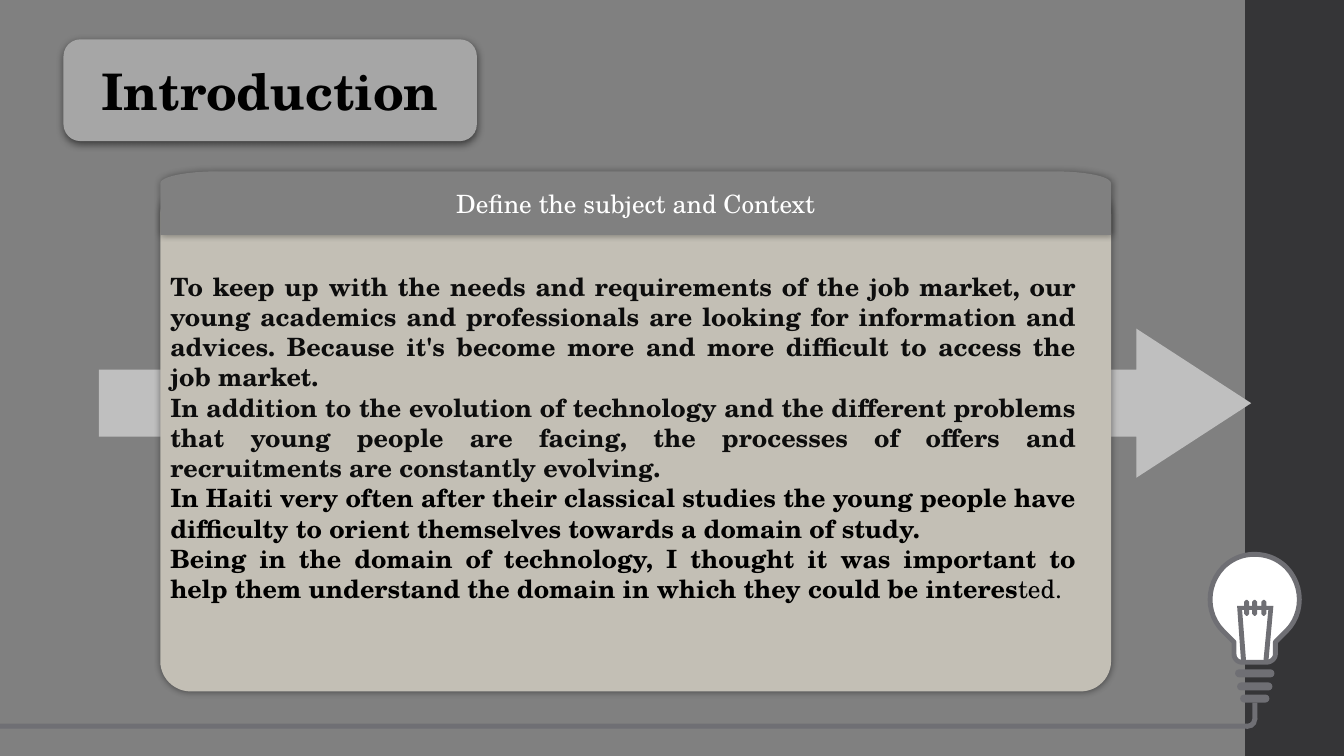
from lxml import etree
from pptx import Presentation
from pptx.dml.color import RGBColor
from pptx.enum.shapes import MSO_SHAPE
from pptx.enum.text import MSO_ANCHOR, PP_ALIGN
from pptx.oxml.ns import qn
from pptx.util import Inches, Pt

FONT = "TeX Gyre Schola"
GREY, LAMP_GREY, WHITE, BLACK, INK = "808080", "6F6F74", "FFFFFF", "000000", "0D0D0D"

# Each paragraph: colour, bold text, plain ending
INTRODUCTION = [
    (INK, "To keep up with the needs and requirements of the job market, our young "
          "academics and professionals are looking for information and advices. Because "
          "it's become more and more difficult to access the job market.", ""),
    (INK, "In addition to the evolution of technology and the different problems that "
          "young people are facing, the processes of offers and recruitments are "
          "constantly evolving.", ""),
    (BLACK, "In Haiti very often after their classical studies the young people have "
            "difficulty to orient themselves towards a domain of study.", ""),
    (BLACK, "Being in the domain of technology, I thought it was important to help them "
            "understand the domain in which they could be interes", "ted."),
]


def rgb(value):
    return RGBColor.from_string(value)


def paint(shape, fill, line=None, width=0):
    shape.shadow.inherit = False
    shape.fill.solid()
    shape.fill.fore_color.rgb = rgb(fill)
    if line:
        shape.line.color.rgb = rgb(line)
        shape.line.width = Pt(width)
    else:
        shape.line.fill.background()
    return shape


def add_preset(slide, kind, left, top, width, height, fill, adjust=()):
    shape = slide.shapes.add_shape(
        kind, Inches(left), Inches(top), Inches(width), Inches(height))
    for index, value in enumerate(adjust):
        shape.adjustments[index] = value
    return paint(shape, fill)


def trace(start, segments, steps=12):
    """Turn lines (x, y) and cubic curves (six numbers) into a list of points."""
    points = [start]
    for segment in segments:
        if len(segment) == 2:
            points.append(segment)
            continue
        x0, y0 = points[-1]
        x1, y1, x2, y2, x3, y3 = segment
        for step in range(1, steps + 1):
            t = step / steps
            a, b, c, d = (1 - t) ** 3, 3 * t * (1 - t) ** 2, 3 * t * t * (1 - t), t ** 3
            points.append((a * x0 + b * x1 + c * x2 + d * x3,
                           a * y0 + b * y1 + c * y2 + d * y3))
    return points


def add_outline(slide, points, fill, line=None, width=0):
    corners = [(Inches(x), Inches(y)) for x, y in points]
    builder = slide.shapes.build_freeform(*corners[0])
    builder.add_line_segments(corners[1:], close=True)
    return paint(builder.convert_to_shape(), fill, line, width)


def add_shadow(shape, opacity, blur, distance=0, direction=0):
    effects = shape._element.spPr.find(qn("a:effectLst"))
    shadow = etree.SubElement(
        effects, qn("a:outerShdw"), blurRad=str(Pt(blur)), dist=str(Pt(distance)),
        dir=str(direction * 60000), algn="ctr", rotWithShape="0")
    color = etree.SubElement(shadow, qn("a:srgbClr"), val=BLACK)
    etree.SubElement(color, qn("a:alpha"), val=str(opacity * 1000))


def write(paragraph, text, size=18, color=BLACK, bold=False, align=PP_ALIGN.CENTER):
    paragraph.alignment = align
    run = paragraph.add_run()
    run.text = text
    run.font.name = FONT
    run.font.size = Pt(size)
    run.font.bold = bold
    run.font.color.rgb = rgb(color)


def label(shape, text, **style):
    frame = shape.text_frame
    frame.word_wrap = True
    frame.vertical_anchor = MSO_ANCHOR.MIDDLE
    write(frame.paragraphs[0], text, **style)


def add_lamp(slide):
    # Glass bulb
    glass = trace((12.44, 5.5), [
        (12.56, 5.5, 12.67, 5.54, 12.76, 5.63), (12.93, 5.81, 12.93, 6.09, 12.76, 6.26),
        (12.65, 6.37), (12.65, 6.49), (12.65, 6.53, 12.61, 6.57, 12.56, 6.57),
        (12.32, 6.57), (12.27, 6.57, 12.24, 6.53, 12.24, 6.49), (12.24, 6.37),
        (12.13, 6.26), (11.96, 6.09, 11.96, 5.81, 12.13, 5.63),
        (12.22, 5.54, 12.33, 5.5, 12.44, 5.5)])
    add_outline(slide, glass, WHITE, LAMP_GREY, 3.5)

    # Screw rings
    for left, top, width in [(12.25, 6.64, 0.39), (12.27, 6.77, 0.35), (12.3, 6.89, 0.29)]:
        add_preset(slide, MSO_SHAPE.ROUNDED_RECTANGLE, left, top, width, 0.08,
                   LAMP_GREY, [0.5])

    # Filament with three prongs
    upper, lower = [], []
    for x in (12.34, 12.42, 12.51):
        upper += [(x, 6.01), (x, 5.97), (x + 0.02, 5.95), (x + 0.03, 5.95),
                  (x + 0.05, 5.97), (x + 0.05, 6.01)]
        lower += [(x, 6.05), (x, 6.09), (x + 0.02, 6.11), (x + 0.03, 6.11),
                  (x + 0.05, 6.09), (x + 0.05, 6.05)]
    filament = ([(12.31, 6.57), (12.27, 6.01)] + upper
                + [(12.63, 6.01), (12.58, 6.57), (12.53, 6.57), (12.58, 6.05)]
                + lower[::-1] + [(12.32, 6.05), (12.36, 6.57)])
    add_outline(slide, filament, LAMP_GREY)

    # Cable
    add_preset(slide, MSO_SHAPE.RECTANGLE, 0, 7.18, 12.37, 0.05, LAMP_GREY)
    add_preset(slide, MSO_SHAPE.RECTANGLE, 12.42, 6.97, 0.05, 0.17, LAMP_GREY)
    add_preset(slide, MSO_SHAPE.BLOCK_ARC, 12.28, 7.04, 0.19, 0.19, LAMP_GREY,
               [213.39, 60.92, 0.27])


def add_card(slide):
    card = add_preset(slide, MSO_SHAPE.ROUNDED_RECTANGLE, 1.59, 1.83, 9.43, 5.03,
                      "C3BFB5", [0.06])
    add_shadow(card, 40, 5)

    # Header with rounded top
    header = add_outline(slide, trace((2.17, 1.7), [
        (10.45, 1.7), (10.77, 1.7, 11.02, 1.75, 11.02, 1.82), (11.02, 2.33),
        (1.59, 2.33), (1.59, 1.82), (1.59, 1.75, 1.85, 1.7, 2.17, 1.7)]), GREY)
    add_shadow(header, 40, 5)
    label(header, "Define the subject and Context", color=WHITE)

    # Body text
    body = slide.shapes.add_textbox(
        Inches(1.59), Inches(2.64), Inches(9.18), Inches(3.74)).text_frame
    body.word_wrap = True
    for index, (color, text, ending) in enumerate(INTRODUCTION):
        paragraph = body.add_paragraph() if index else body.paragraphs[0]
        write(paragraph, text, color=color, bold=True, align=PP_ALIGN.JUSTIFY)
        if ending:
            write(paragraph, ending, color=color, align=PP_ALIGN.JUSTIFY)


def main():
    presentation = Presentation()
    presentation.slide_width = Inches(13.33)
    presentation.slide_height = Inches(7.5)
    slide = presentation.slides.add_slide(presentation.slide_layouts[6])
    slide.background.fill.solid()
    slide.background.fill.fore_color.rgb = rgb(GREY)

    # Side band and lamp
    add_preset(slide, MSO_SHAPE.RECTANGLE, 12.35, 0, 0.98, 7.5, "353537")
    add_lamp(slide)

    # Arrow behind the card
    add_preset(slide, MSO_SHAPE.RIGHT_ARROW, 0.98, 3.26, 11.43, 1.48, "BFBFBF",
               [0.45, 0.77])
    add_card(slide)

    # Title
    title = add_preset(slide, MSO_SHAPE.ROUNDED_RECTANGLE, 0.63, 0.39, 4.1, 1.01, "A6A6A6")
    add_shadow(title, 55, 6, distance=2, direction=90)
    label(title, "Introduction", size=36, bold=True)

    presentation.save("out.pptx")


if __name__ == "__main__":
    main()
